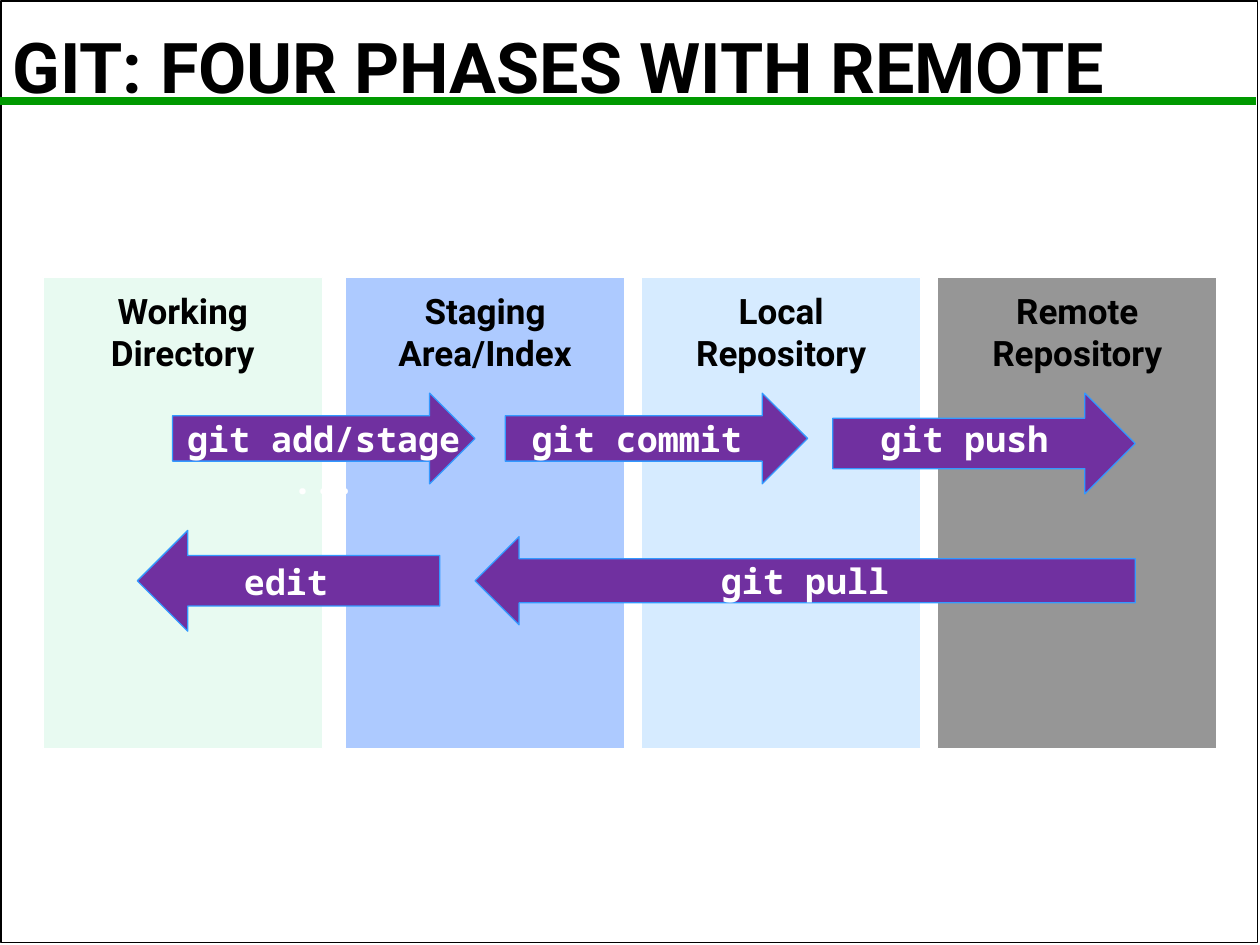
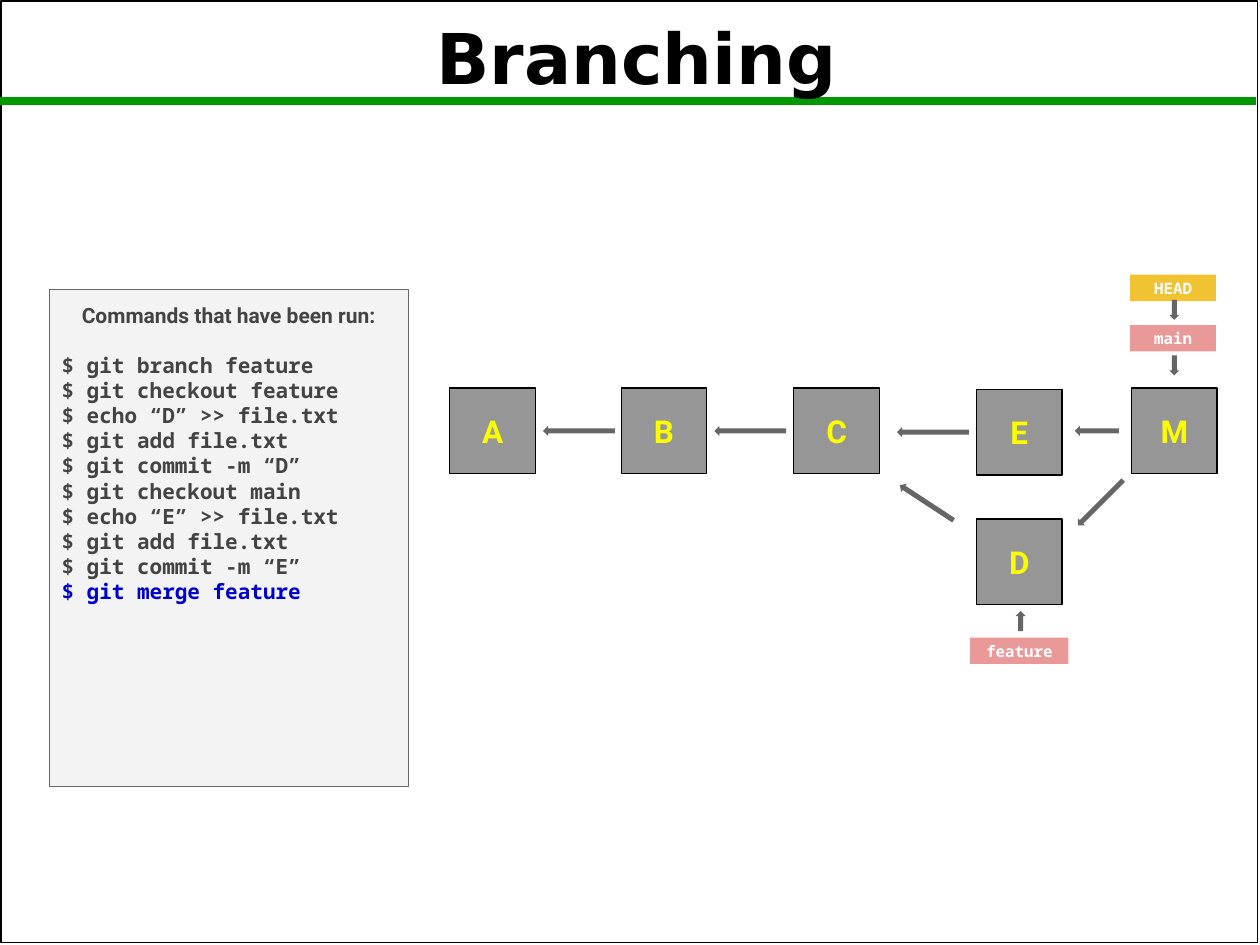
from pptx import Presentation
from pptx.dml.color import RGBColor as Rgb
from pptx.enum.shapes import MSO_CONNECTOR as Link, MSO_SHAPE as Kind
from pptx.enum.text import MSO_ANCHOR as Anchor, MSO_AUTO_SIZE as Fit, PP_ALIGN as Align
from pptx.oxml.ns import qn
from pptx.util import Inches, Pt
from lxml import etree

THEME = {
    "ink": "000000", "rule": "009900", "white": "FFFFFF", "cell": "969696",
    "act": "7030A0", "edge": "3399FF", "node": "FAFD00", "arrow": "666666",
    "pane": "F3F3F3", "code": "434343", "new": "0000CC",
    "head": "F1C232", "ref": "EA9999",
    "sans": "Roboto", "mono": "Noto Sans Mono", "wide": "DejaVu Sans",
    "title": 40, "large": 20, "mid": 18, "small": 12, "tag": 9,
}

PHASES = [
    ("Working Directory", 0.34, "E8FAF1"),
    ("Staging Area/Index", 2.74, "ADCAFF"),
    ("Local Repository", 5.09, "D6EBFF"),
    ("Remote Repository", 7.44, THEME["cell"]),
]
ACTIONS = [
    ("git add/stage ...", Kind.RIGHT_ARROW, (1.37, 3.12, 2.4, 0.72), (1.37, 3.21, 2.4, 0.2)),
    ("git commit", Kind.RIGHT_ARROW, (4.01, 3.12, 2.4, 0.72), (4.01, 3.21, 2.09, 0.2)),
    ("git push", Kind.RIGHT_ARROW, (6.61, 3.12, 2.4, 0.8), (6.61, 3.21, 2.09, 0.2)),
    ("git pull", Kind.LEFT_ARROW, (3.77, 4.26, 5.24, 0.7), (3.77, 4.34, 5.24, 0.2)),
    ("edit", Kind.LEFT_ARROW, (1.09, 4.21, 2.4, 0.8), (1.32, 4.36, 1.9, 0.18)),
]

HEADING = "Commands that have been run:"
COMMANDS = [
    "git branch feature", "git checkout feature", "echo “D” >> file.txt",
    "git add file.txt", "git commit -m “D”", "git checkout main",
    "echo “E” >> file.txt", "git add file.txt", "git commit -m “E”",
    "git merge feature",
]
SIDE = 0.68
COMMITS = {
    "A": (3.57, 3.08), "B": (4.93, 3.08), "C": (6.3, 3.08),
    "E": (7.75, 3.09), "M": (8.98, 3.08), "D": (7.75, 4.12),
}
TAGS = [
    ("HEAD", (8.97, 2.18, 0.68, 0.21), "head"),
    ("main", (8.97, 2.58, 0.68, 0.21), "ref"),
    ("feature", (7.7, 5.06, 0.78, 0.21), "ref"),
]
ARROWS = [
    (Kind.LEFT_ARROW, (4.31, 3.38, 0.57, 0.08), 0),
    (Kind.LEFT_ARROW, (5.67, 3.38, 0.57, 0.08), 0),
    (Kind.LEFT_ARROW, (7.12, 3.39, 0.57, 0.08), 0),
    (Kind.LEFT_ARROW, (8.53, 3.38, 0.35, 0.08), 0),
    (Kind.LEFT_ARROW, (7.1, 3.95, 0.51, 0.08), 33.2),
    (Kind.LEFT_ARROW, (8.48, 3.95, 0.51, 0.08), 315),
    (Kind.DOWN_ARROW, (9.28, 2.38, 0.08, 0.16), 0),
    (Kind.DOWN_ARROW, (9.28, 2.82, 0.08, 0.16), 0),
    (Kind.UP_ARROW, (8.06, 4.85, 0.08, 0.16), 0),
]


def tint(name):
    return Rgb.from_string(THEME.get(name, name))


def assign(item, values):
    for name, value in values.items():
        setattr(item, name, value)


def write(shape, lines, size, face, color, anchor=Anchor.TOP, align=Align.CENTER):
    frame = shape.text_frame
    gap = Inches(0.1)
    assign(frame, {
        "word_wrap": True, "auto_size": Fit.NONE, "vertical_anchor": anchor,
        "margin_left": gap, "margin_top": gap, "margin_right": gap, "margin_bottom": gap,
    })
    for i, line in enumerate(lines):
        para = frame.add_paragraph() if i else frame.paragraphs[0]
        para.alignment = align
        run = para.add_run()
        run.text = line
        assign(run.font, {"size": Pt(THEME[size]), "name": THEME[face], "bold": True})
        run.font.color.rgb = tint(color)
    return frame.paragraphs


def draw(slide, kind, place, fill=None, line=None, width=0.75):
    shape = slide.shapes.add_shape(kind, *map(Inches, place))
    shape.shadow.inherit = False
    if fill:
        shape.fill.solid()
        shape.fill.fore_color.rgb = tint(fill)
    else:
        shape.fill.background()
    if line:
        shape.line.color.rgb = tint(line)
        shape.line.width = Pt(width)
    else:
        shape.line.fill.background()
    return shape


def label(slide, place, text):
    box = slide.shapes.add_textbox(*map(Inches, place))
    write(box, [text], "large", "mono", "white")


def set_title(slide, text, place, face, align):
    title = slide.shapes.title
    sides = ("left", "top", "width", "height")
    assign(title, dict(zip(sides, map(Inches, place))))
    para = write(title, [text], "title", face, "ink", align=align)[0]
    para.line_spacing = 0.9


def add_frame(slide):
    border = draw(slide, Kind.RECTANGLE, (0.01, 0.01, 9.97, 7.47), line="ink", width=1)
    ends = map(Inches, (0, 0.8, 9.97, 0.8))
    rule = slide.shapes.add_connector(Link.STRAIGHT, *ends)
    rule.line.color.rgb = tint("rule")
    rule.line.width = Pt(4.5)
    etree.SubElement(rule.element.spPr, qn("a:effectLst"))
    tree = slide.slide_layout.shapes.element
    for i, part in enumerate((border, rule)):
        tree.insert(2 + i, part.element)


def show_phases(slide):
    set_title(slide, "GIT: FOUR PHASES WITH REMOTE", (0, 0.16, 10, 0.63), "sans", Align.LEFT)
    for name, left, fill in PHASES:
        card = draw(slide, Kind.RECTANGLE, (left, 2.2, 2.22, 3.74), fill, "white")
        write(card, [name], "large", "sans", "ink")
    for text, kind, place, spot in ACTIONS:
        draw(slide, kind, place, "act", "edge")
        label(slide, spot, text)


def show_branch(slide):
    set_title(slide, "Branching", (0.39, 0.09, 9.32, 0.63), "wide", Align.CENTER)
    pane = draw(slide, Kind.RECTANGLE, (0.39, 2.3, 2.85, 3.94), "pane", "arrow")
    lines = [HEADING] + [f"$ {text}" for text in COMMANDS]
    paras = write(pane, lines, "small", "mono", "code", align=Align.LEFT)
    assign(paras[0], {"alignment": Align.CENTER, "space_after": Pt(14)})
    paras[0].runs[0].font.name = THEME["sans"]
    paras[-1].runs[0].font.color.rgb = tint("new")
    for name, spot in COMMITS.items():
        node = draw(slide, Kind.RECTANGLE, (*spot, SIDE, SIDE), "cell", "ink")
        write(node, [name], "mid", "sans", "node", Anchor.MIDDLE)
    for text, place, fill in TAGS:
        tag = draw(slide, Kind.RECTANGLE, place, fill)
        write(tag, [text], "tag", "mono", "white", Anchor.MIDDLE)
    for kind, place, turn in ARROWS:
        draw(slide, kind, place, "arrow").rotation = turn


def main():
    deck = Presentation()
    assign(deck, {"slide_width": Inches(10), "slide_height": Inches(7.5)})
    layout = deck.slide_layouts[5]
    first, second = [deck.slides.add_slide(layout) for _ in range(2)]
    add_frame(first)
    show_phases(first)
    show_branch(second)
    deck.save("out.pptx")


if __name__ == "__main__":
    main()
